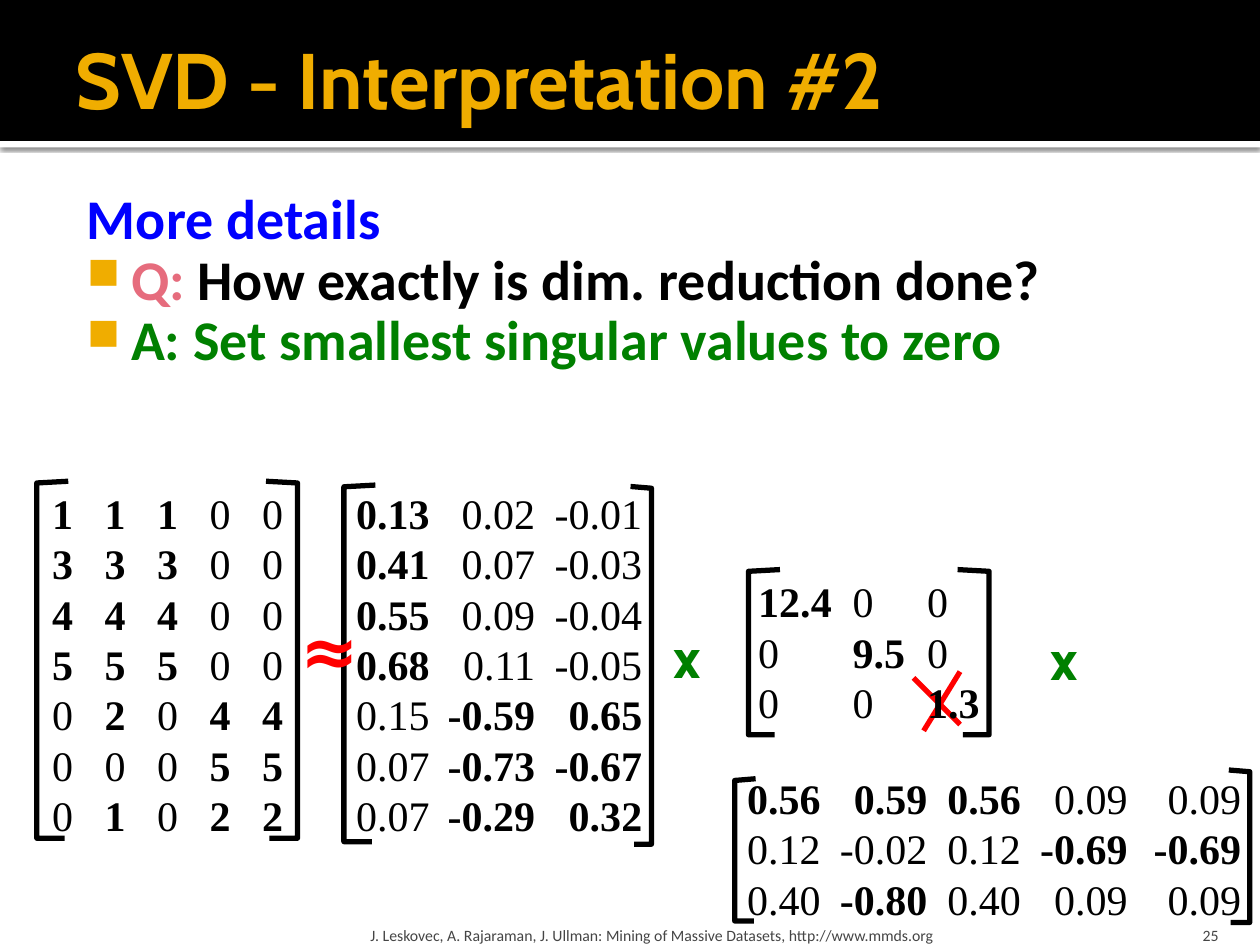
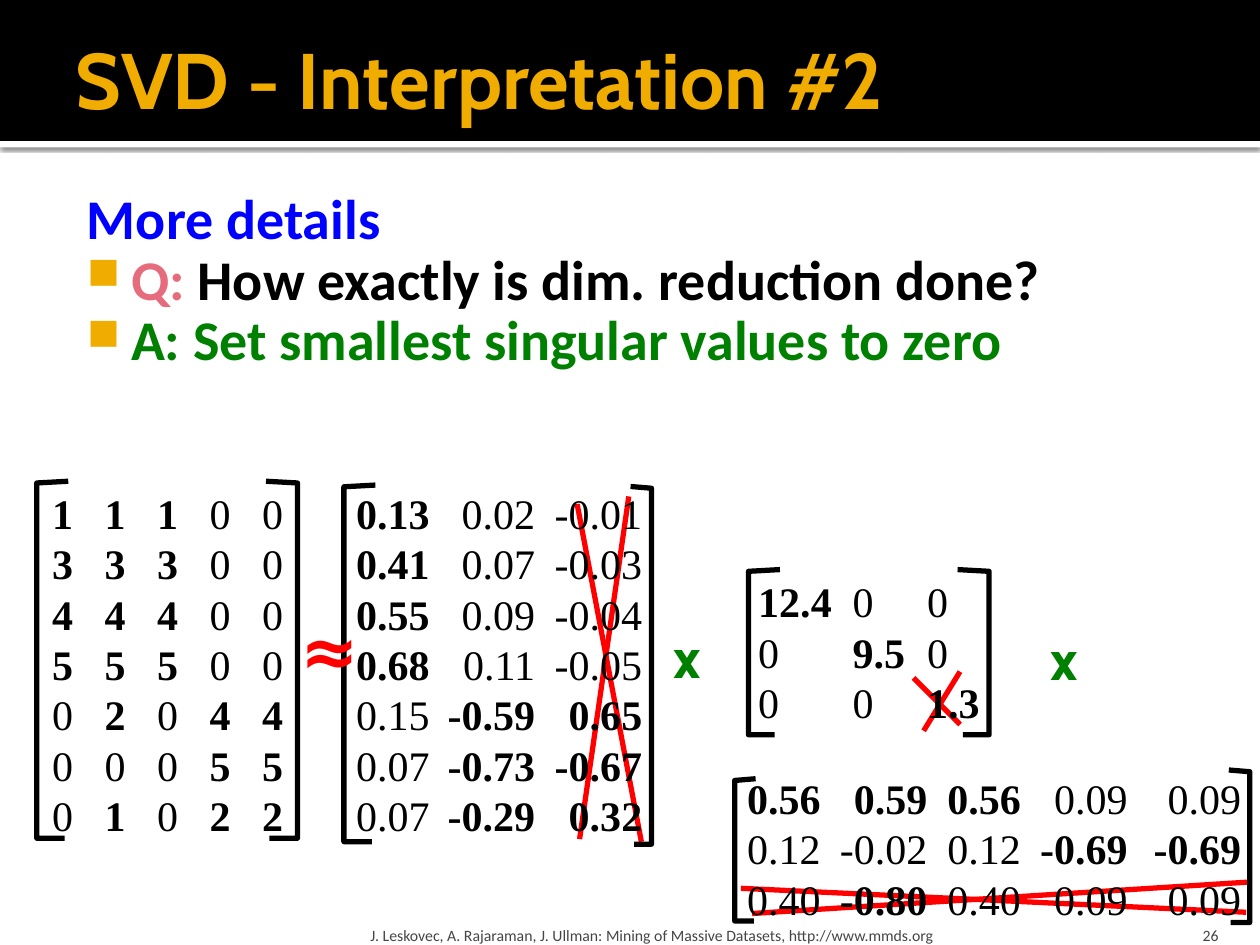
import pptx
import pptx.dml.color
import pptx.enum.shapes
import pptx.enum.text
import pptx.oxml
import pptx.oxml.ns
import pptx.util
from lxml import etree

Pt = pptx.util.Pt
ANCHOR = pptx.enum.text.MSO_ANCHOR
ALIGN = pptx.enum.text.PP_ALIGN

COLORS = {
    "band": "000000", "strip": "FFFFFF", "gold": "F0AD00", "heading": "0000FF",
    "question": "E66C7D", "answer": "008000", "ink": "000000",
    "footer": "454545", "strike": "FF0000",
}
HEAD, BODY, MATH = "Cabin", "Calibri", "Times New Roman"
SLIDE_WIDTH, SLIDE_HEIGHT = 720, 540
TITLE = "SVD - Interpretation #2"
CREDIT = ("J. Leskovec, A. Rajaraman, J. Ullman: Mining of Massive Datasets, "
          "http://www.mmds.org")

# Each matrix: its box; rows, with * before a bold entry; left inset; tab stops
# with their alignment; brackets as (x, top, bottom, top arm, bottom arm);
# strike-out lines as (x1, y1, x2, y2). All are relative to the box.
MATRICES = {
    "data": dict(
        box=(18, 275, 156, 211), inset=11.8, tabs=(30, 60, 90, 120), tab_align="l",
        rows=["*1 *1 *1 0 0", "*3 *3 *3 0 0", "*4 *4 *4 0 0", "*5 *5 *5 0 0",
              "0 *2 0 *4 *4", "0 0 0 *5 *5", "0 *1 0 *2 *2"],
        brackets=[(3, 0, 204, 18, 16), (152, 0, 204, -18, -16)],
        strikes=[]),
    "U": dict(
        box=(186.5, 275, 198, 211), inset=17, tabs=(102.3, 163.5), tab_align="r",
        rows=["*0.13 0.02 -0.01", "*0.41 0.07 -0.03", "*0.55 0.09 -0.04",
              "*0.68 0.11 -0.05", "0.15 *-0.59 *0.65", "0.07 *-0.73 *-0.67",
              "0.07 *-0.29 *0.32"],
        brackets=[(10, 2.2, 206, 18, 16), (185.8, 3, 207.4, -12, -10)],
        strikes=[(144.7, 204.5, 172.8, 8.7), (143.3, 13, 180, 206)]),
    "sigma": dict(
        box=(426.2, 325.5, 156, 94), inset=7.2, tabs=(54, 96.5), tab_align="l",
        rows=["*12.4 0 0", "0 *9.5 0", "0 0 *1.3"],
        brackets=[(1.5, 0, 94.4, 18, 15), (139, 0, 94.4, -18, -15)],
        strikes=[(101.6, 92.1, 122.4, 58.3), (95.8, 61.9, 122.4, 88.5)]),
    "V": dict(
        box=(419.8, 437.8, 300, 94), inset=7.2, tabs=(103, 156.5, 217.5, 282.3),
        tab_align="r",
        rows=["*0.56 *0.59 *0.56 0.09 0.09", "0.12 -0.02 0.12 *-0.69 *-0.69",
              "0.40 *-0.80 0.40 0.09 0.09"],
        brackets=[(0, 7.2, 88.5, 12, 11), (294.4, 2.2, 89.3, -12, -11)],
        strikes=[(292.3, 83.5, 3.6, 69.8), (10, 84.2, 294.4, 66.2)]),
}
# Symbol, box, size, colour
OPERATORS = [
    ("x", (378, 352, 32, 46), 32, "answer"),
    ("x", (593.3, 352.8, 32, 46), 32, "answer"),
    ("≈", (164.9, 342.7, 36.7, 55.4), 40, "strike"),
]


def rgb(color):
    return pptx.dml.color.RGBColor.from_string(COLORS[color])


def add_xml(parent, tag, **attributes):
    return etree.SubElement(parent, pptx.oxml.ns.qn(tag), attributes)


def set_font(font, name, size, color, bold=False):
    font.name, font.size, font.bold = name, Pt(size), bold
    font.color.rgb = rgb(color)


def text_frame(slide, box, insets=(7.2, 3.6, 7.2, 3.6), anchor=ANCHOR.TOP, wrap=True):
    frame = slide.shapes.add_textbox(*map(Pt, box)).text_frame
    frame.word_wrap, frame.vertical_anchor = wrap, anchor
    (frame.margin_left, frame.margin_top,
     frame.margin_right, frame.margin_bottom) = map(Pt, insets)
    return frame


def add_line(slide, box, insets, anchor, text, font, align=ALIGN.LEFT, wrap=True):
    """One paragraph of text in its own box; font is (name, size, colour, bold)."""
    frame = text_frame(slide, box, insets, anchor, wrap)
    paragraph = frame.paragraphs[0]
    paragraph.alignment = align
    paragraph.add_run().text = text
    set_font(paragraph.font, *font)
    return frame


def header(slide):
    bands = [("strip", 80.6, 3.6), ("band", 0, 80.6)]
    for color, top, height in bands:
        band = slide.shapes.add_shape(
            pptx.enum.shapes.MSO_SHAPE.RECTANGLE,
            0, Pt(top), Pt(SLIDE_WIDTH), Pt(height))
        band.shadow.inherit = False
        band.fill.solid()
        band.fill.fore_color.rgb = rgb(color)
        band.line.fill.background()
        if color == "strip":
            effects = band._element.spPr.find(pptx.oxml.ns.qn("a:effectLst"))
            shadow = add_xml(effects, "a:outerShdw", blurRad=str(Pt(2.5)),
                             dist=str(Pt(0.8)), dir="5400000", rotWithShape="0")
            tint = add_xml(shadow, "a:srgbClr", val=COLORS["band"])
            add_xml(tint, "a:alpha", val="60000")
    add_line(slide, (36, 5.8, 648, 77.8), (7.2, 3.6, 3.6, 3.6), ANCHOR.MIDDLE,
             TITLE, (HEAD, 45, "gold", True))


def footer(slide, number):
    font = (BODY, 9, "footer")
    add_line(slide, (208, 518.4, 433.4, 21.6), (3.6, 3.6, 3.6, 0), ANCHOR.BOTTOM,
             CREDIT, font)
    add_line(slide, (645.8, 518.4, 57.6, 21.6), (7.2, 3.6, 7.2, 0), ANCHOR.BOTTOM,
             str(number), font, ALIGN.RIGHT)


def question_and_answer(slide, box):
    frame = text_frame(slide, box, (4.3, 7.2, 7.2, 3.6))
    lines = [
        [("More details", "heading")],
        [("Q:", "question"), (" How exactly is dim. reduction done?", "ink")],
        [("A: Set smallest singular values to zero", "answer")],
    ]
    for index, parts in enumerate(lines):
        paragraph = frame.paragraphs[0] if index == 0 else frame.add_paragraph()
        paragraph.line_spacing = 0.9
        properties = paragraph._p.get_or_add_pPr()
        properties.set("marL", str(Pt(34.6)))
        properties.set("indent", str(Pt(-25.2)))
        if index:
            bullet_color = add_xml(properties, "a:buClr")
            add_xml(bullet_color, "a:srgbClr", val=COLORS["gold"])
            add_xml(properties, "a:buSzPct", val="80000")
            add_xml(properties, "a:buChar", char="■")
        set_font(paragraph.font, BODY, 32, parts[0][1], True)
        for text, color in parts:
            run = paragraph.add_run()
            run.text = text
            if len(parts) > 1:
                run.font.color.rgb = rgb(color)


def bracket(slide, box, x, top, bottom, top_arm, bottom_arm):
    left, upper = box[:2]
    points = [(x + top_arm, top), (x, top + 1), (x, bottom), (x + bottom_arm, bottom)]
    corners = [(Pt(left + px), Pt(upper + py)) for px, py in points]
    builder = slide.shapes.build_freeform(*corners[0], scale=1.0)
    builder.add_line_segments(corners[1:], close=False)
    outline = builder.convert_to_shape()
    outline.shadow.inherit = False
    outline.fill.background()
    outline.line.color.rgb = rgb("ink")
    outline.line.width = Pt(3)


def strike_out(slide, box, x1, y1, x2, y2):
    left, top = box[:2]
    stroke = slide.shapes.add_connector(
        pptx.enum.shapes.MSO_CONNECTOR.STRAIGHT,
        Pt(left + x1), Pt(top + y1), Pt(left + x2), Pt(top + y2))
    stroke.line.color.rgb = rgb("strike")
    stroke.line.width = Pt(3)
    add_xml(stroke._element.spPr, "a:effectLst")


def matrix(slide, box, rows, inset, tabs, tab_align, brackets, strikes):
    for ends in strikes:
        strike_out(slide, box, *ends)
    for sides in brackets:
        bracket(slide, box, *sides)
    frame = text_frame(slide, box, (inset, 3.6, 7.2, 3.6))
    frame.auto_size = pptx.enum.text.MSO_AUTO_SIZE.SHAPE_TO_FIT_TEXT
    for index, row in enumerate(rows):
        paragraph = frame.paragraphs[0] if index == 0 else frame.add_paragraph()
        stops = add_xml(paragraph._p.get_or_add_pPr(), "a:tabLst")
        for position in tabs:
            add_xml(stops, "a:tab", pos=str(Pt(position)), algn=tab_align)
        set_font(paragraph.font, MATH, 24, "ink")
        for column, entry in enumerate(row.split()):
            run = paragraph.add_run()
            run.text = ("\t" if column else "") + entry.lstrip("*")
            run.font.bold = entry.startswith("*")


def operator(slide, box, symbol, size, color):
    frame = add_line(slide, box, (7.2, 3.6, 7.2, 3.6), ANCHOR.MIDDLE, symbol,
                     (HEAD, size, color, True), wrap=False)
    frame.auto_size = pptx.enum.text.MSO_AUTO_SIZE.SHAPE_TO_FIT_TEXT


def svd_slide(deck, number, struck):
    """The decomposition, with lines through part of each matrix named in struck."""
    slide = deck.slides.add_slide(deck.slide_layouts[6])
    header(slide)
    question_and_answer(slide, (36, 102.2, 648, 414))
    footer(slide, number)
    for name, parts in MATRICES.items():
        shown = parts["strikes"] if name in struck else []
        matrix(slide, **{**parts, "strikes": shown})
    for symbol, box, size, color in OPERATORS:
        operator(slide, box, symbol, size, color)


def main():
    deck = pptx.Presentation()
    deck.slide_width, deck.slide_height = Pt(SLIDE_WIDTH), Pt(SLIDE_HEIGHT)
    svd_slide(deck, 25, {"sigma"})
    svd_slide(deck, 26, {"sigma", "U", "V"})
    deck.save("out.pptx")


if __name__ == "__main__":
    main()
